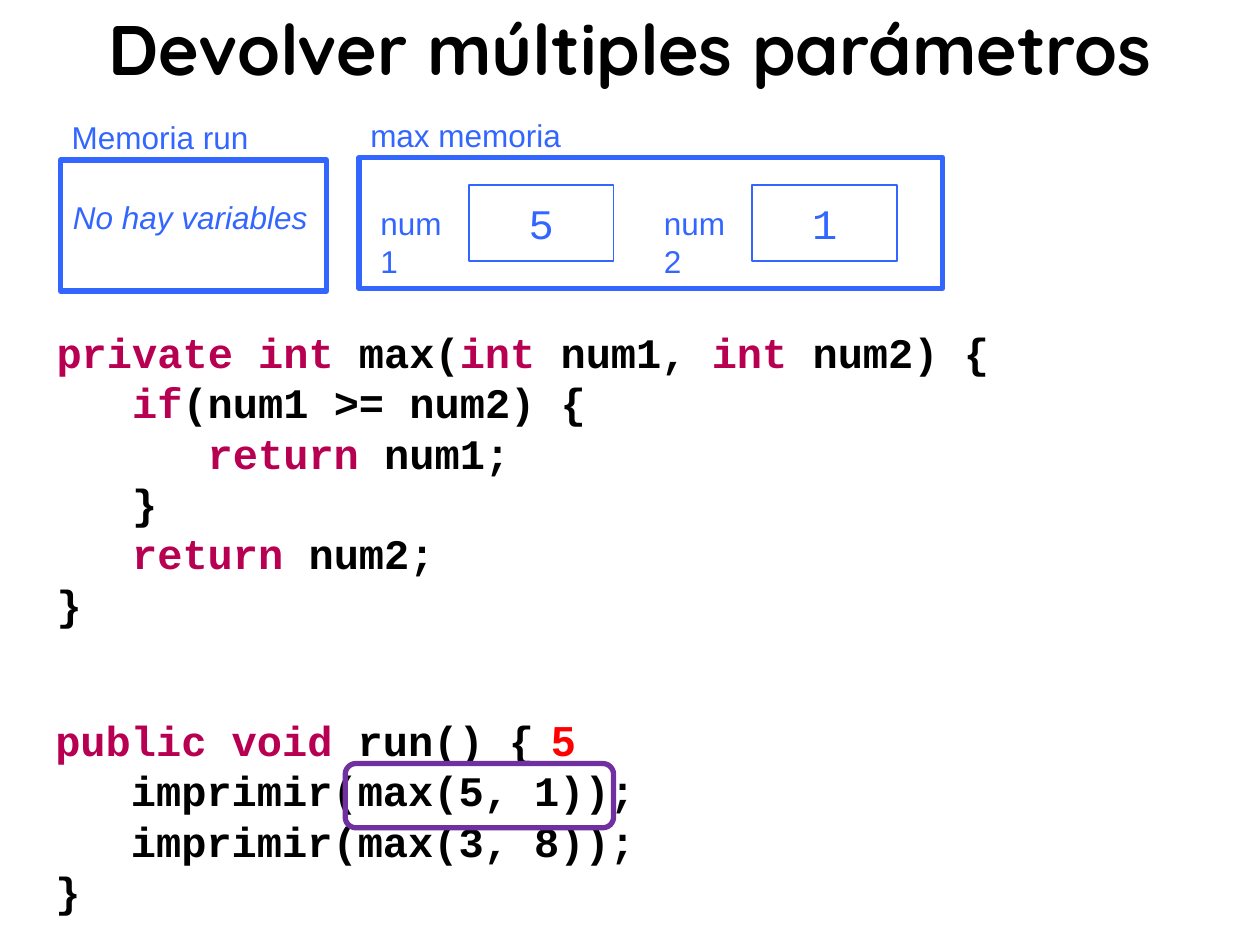
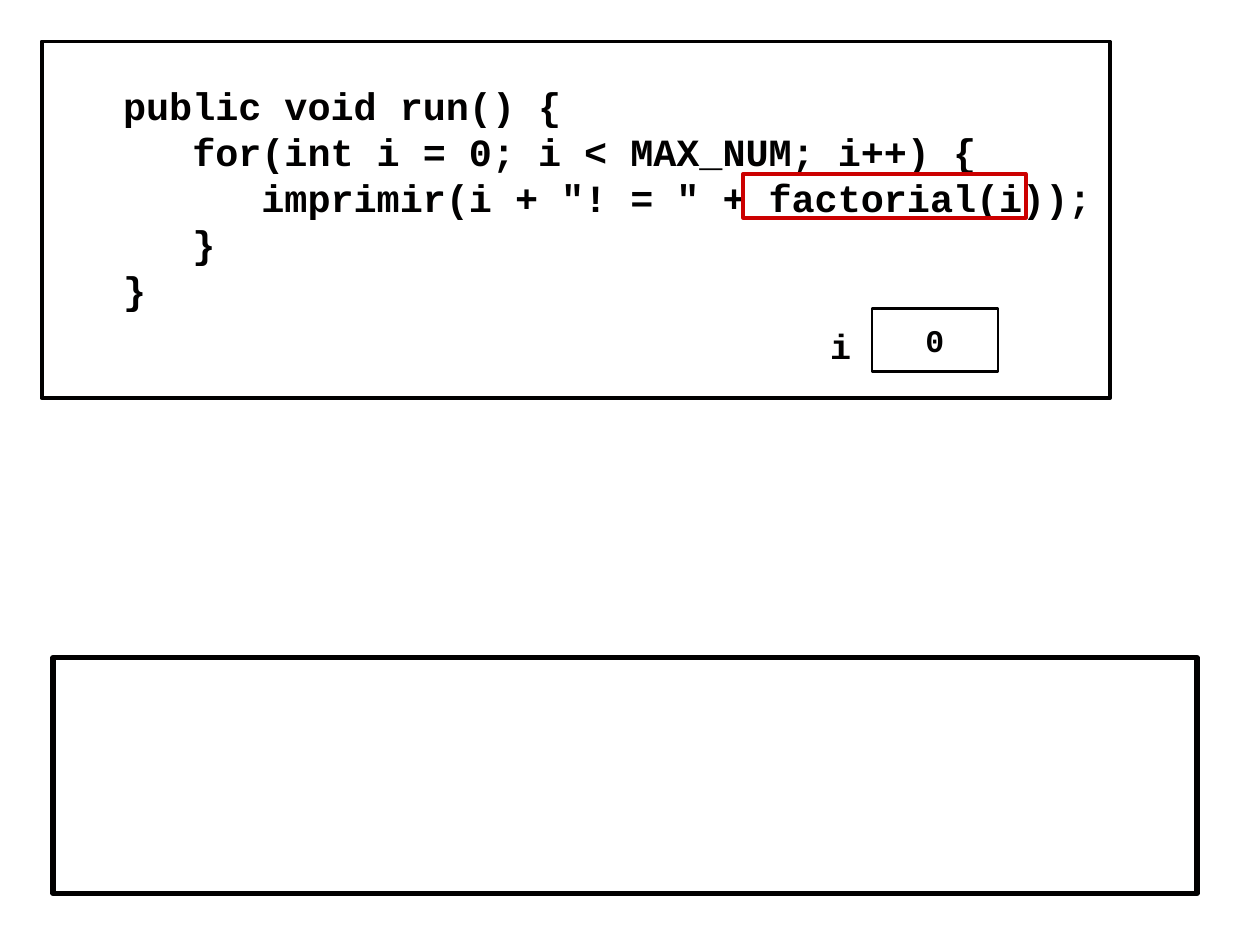
import dataclasses

import pptx
import pptx.dml.color
import pptx.enum.shapes
import pptx.enum.text
import pptx.util

Inches = pptx.util.Inches
Pt = pptx.util.Pt
Align = pptx.enum.text.PP_ALIGN
Anchor = pptx.enum.text.MSO_ANCHOR
Preset = pptx.enum.shapes.MSO_SHAPE


@dataclasses.dataclass(frozen=True)
class Theme:
    """Colours, fonts, type sizes and line widths of the deck."""
    white: str = "FFFFFF"
    black: str = "000000"
    ink: str = "010000"
    keyword: str = "B70051"
    memory: str = "3366FF"
    call: str = "7030A0"
    result: str = "FF0000"
    marker: str = "CC0000"
    title_font: str = "Quicksand"
    label_font: str = "Arial"
    code_font: str = "Courier New"
    title_size: float = 40
    code_size: float = 24
    trace_size: float = 22
    name_size: float = 20
    label_size: float = 18
    thick: float = 3
    medium: float = 2.25
    thin: float = 1.5
    hairline: float = 1


@dataclasses.dataclass(frozen=True)
class Box:
    """A rectangle in inches."""
    left: float
    top: float
    width: float
    height: float

    def inside(self, left, top, width, height):
        """Return a box placed relative to this one."""
        return Box(self.left + left, self.top + top, width, height)

    def lengths(self):
        """Return the position and size as lengths."""
        return [Inches(value) for value in dataclasses.astuple(self)]


@dataclasses.dataclass(frozen=True)
class Style:
    """The look of a piece of text."""
    font: str
    size: float
    color: str
    bold: bool = False
    italic: bool = False


THEME = Theme()
TITLE = Style(THEME.title_font, THEME.title_size, THEME.black, bold=True)
LABEL = Style(THEME.label_font, THEME.label_size, THEME.memory)
REMARK = dataclasses.replace(LABEL, italic=True)
RESULT = Style(THEME.label_font, THEME.code_size, THEME.result, bold=True)
VALUE = Style(THEME.code_font, THEME.code_size, THEME.memory)
CODE = Style(THEME.code_font, THEME.code_size, THEME.black, bold=True)
KEYWORD = dataclasses.replace(CODE, color=THEME.keyword)
TRACE = Style(THEME.code_font, THEME.trace_size, THEME.ink, bold=True)
TRACE_NAME = dataclasses.replace(TRACE, size=THEME.name_size)
TRACE_VALUE = dataclasses.replace(TRACE, size=THEME.label_size)

MAX_METHOD = [
    "|private int |max(|int |num1, |int |num2) {",
    "   |if|(num1 >= num2) {",
    "      |return |num1;",
    "   }",
    "   |return |num2;",
    "}",
]
RUN_METHOD = [
    "|public void |run() {",
    "   imprimir(max(5, 1));",
    "   imprimir(max(3, 8));",
    "}",
]
FACTORIAL_LOOP = [
    "   public void run() {",
    "      for(int i = 0; i < MAX_NUM; i++) {",
    '         imprimir(i + "! = " + factorial(i));',
    "      }",
    "   }",
]


def rgb(color):
    """Turn a hex string into a colour."""
    return pptx.dml.color.RGBColor.from_string(color)


def write(shape, lines, style, align=Align.LEFT, anchor=Anchor.TOP, bottom=0.05):
    """Fill a shape with lines whose parts between bars are keywords."""
    frame = shape.text_frame
    frame.word_wrap = True
    frame.vertical_anchor = anchor
    frame.margin_bottom = Inches(bottom)
    for index, line in enumerate(lines):
        para = frame.add_paragraph() if index else frame.paragraphs[0]
        para.alignment = align
        for place, part in enumerate(line.split("|")):
            if part:
                add_span(para, part, KEYWORD if place % 2 else style)


def add_span(para, words, style):
    """Add one formatted run to a paragraph."""
    span = para.add_run()
    span.text = words
    span.font.name = style.font
    span.font.size = Pt(style.size)
    span.font.bold = style.bold
    span.font.italic = style.italic
    span.font.color.rgb = rgb(style.color)


def add_text(page, box, lines, style):
    """Add a text box."""
    write(page.shapes.add_textbox(*box.lengths()), lines, style)


def add_frame(page, box, line=None, width=0, fill=None, preset=Preset.RECTANGLE):
    """Add a preset shape with an optional outline and fill."""
    shape = page.shapes.add_shape(preset, *box.lengths())
    shape.shadow.inherit = False
    if fill:
        shape.fill.solid()
        shape.fill.fore_color.rgb = rgb(fill)
    else:
        shape.fill.background()
    if line:
        shape.line.color.rgb = rgb(line)
        shape.line.width = Pt(width)
    else:
        shape.line.fill.background()
    return shape


def title_band(page, box, title):
    """Draw the white band with the slide title."""
    band = add_frame(page, box, fill=THEME.white)
    write(band, [title], TITLE, Align.CENTER, Anchor.MIDDLE)


def memory_panel(page, box, label, label_width):
    """Draw a memory frame with its name above it."""
    add_frame(page, box, THEME.memory, THEME.thick)
    add_text(page, box.inside(-0.01, -0.38, label_width, 0.4), [label], LABEL)


def memory_variable(page, box, name, value):
    """Draw a variable name and its value cell."""
    add_text(page, box.inside(0, 0.1, 0.8, 0.4), [name], LABEL)
    cell = add_frame(page, box.inside(0.8, 0, 1.15, 0.6), THEME.memory, THEME.hairline)
    write(cell, [value], VALUE, Align.CENTER, Anchor.MIDDLE)


def run_code(page, box):
    """Draw the run method with the highlighted call and its result."""
    add_text(page, box, RUN_METHOD, CODE)
    add_frame(page, box.inside(2.4, 0.44, 2.13, 0.51), THEME.call, THEME.thick,
              preset=Preset.ROUNDED_RECTANGLE)
    add_text(page, box.inside(3.94, 0, 0.37, 0.5), ["5"], RESULT)


def return_slide(page):
    """Build the slide on returning a value from max."""
    add_text(page, Box(0.35, 2.54, 9.32, 2.5), MAX_METHOD, CODE)
    title_band(page, Box(0, -0.03, 10, 0.82), "Devolver múltiples parámetros")
    run_code(page, Box(0.34, 5.62, 9.32, 1.28))
    run_memory = Box(0.48, 1.27, 2.11, 1.04)
    memory_panel(page, run_memory, "Memoria run", 1.65)
    add_text(page, run_memory.inside(0, 0.25, 2.15, 0.4), ["No hay variables"], REMARK)
    max_memory = Box(2.85, 1.25, 4.63, 1.04)
    memory_panel(page, max_memory, "max memoria", 1.75)
    for column, (name, value) in enumerate([("num1", "5"), ("num2", "1")]):
        slot = max_memory.inside(0.07 + 2.25 * column, 0.22, 1.95, 0.6)
        memory_variable(page, slot, name, value)


def trace_panel(page, box):
    """Draw the loop code, its variable and the marked call."""
    panel = add_frame(page, box, THEME.ink, THEME.medium, THEME.white)
    write(panel, FACTORIAL_LOOP, TRACE, anchor=Anchor.MIDDLE, bottom=0.41)
    cell = add_frame(page, box.inside(6.59, 2.12, 1, 0.5), THEME.ink, THEME.thin, THEME.white)
    write(cell, ["0"], TRACE_VALUE, Align.CENTER, Anchor.MIDDLE)
    add_text(page, box.inside(6.16, 2.2, 0.5, 0.43), ["i"], TRACE_NAME)
    add_frame(page, box.inside(5.57, 1.05, 2.24, 0.35), THEME.marker, THEME.medium)


def factorial_slide(page):
    """Build the slide tracing the factorial loop."""
    trace_panel(page, Box(0.33, 0.33, 8.48, 2.83))
    add_frame(page, Box(0.42, 5.22, 9.08, 1.87), THEME.ink, THEME.thick, THEME.white)


def main():
    """Build and save the deck."""
    deck = pptx.Presentation()
    deck.slide_width, deck.slide_height = Inches(10), Inches(7.5)
    for build in (return_slide, factorial_slide):
        build(deck.slides.add_slide(deck.slide_layouts[6]))
    deck.save("out.pptx")


if __name__ == "__main__":
    main()
